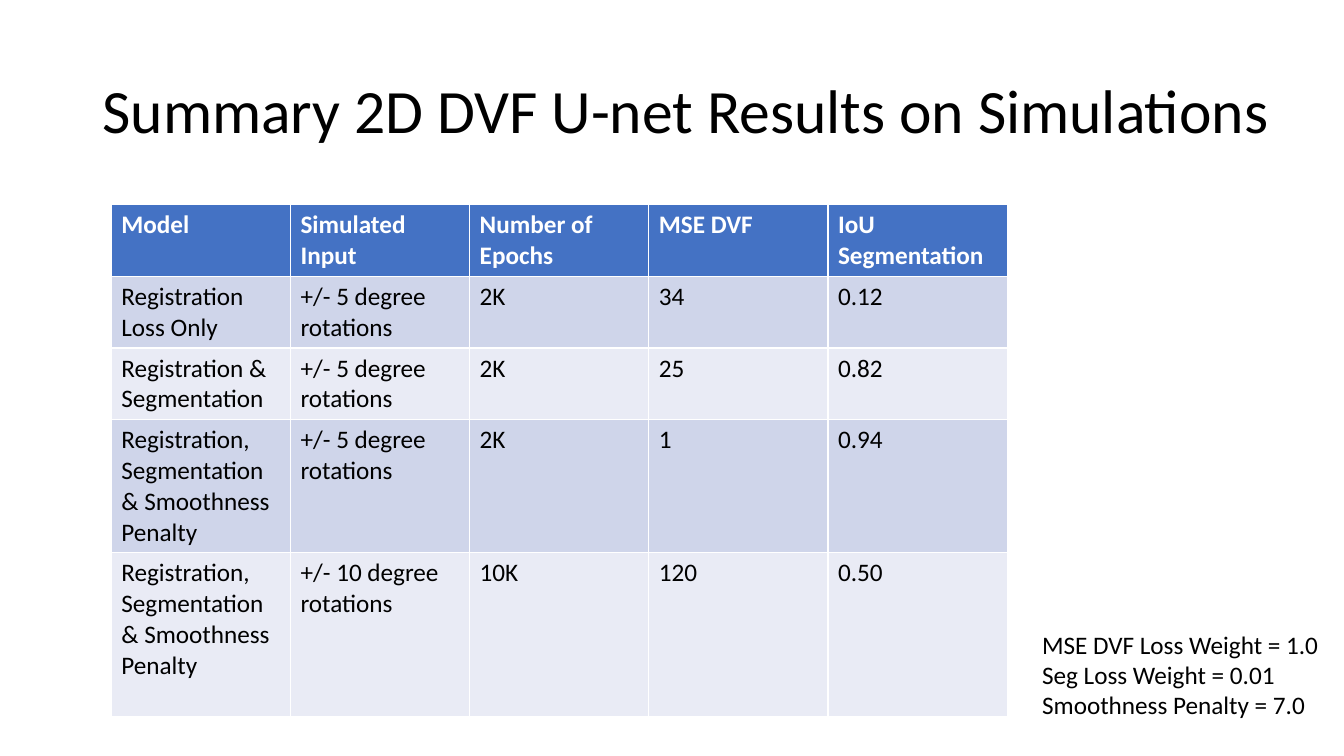
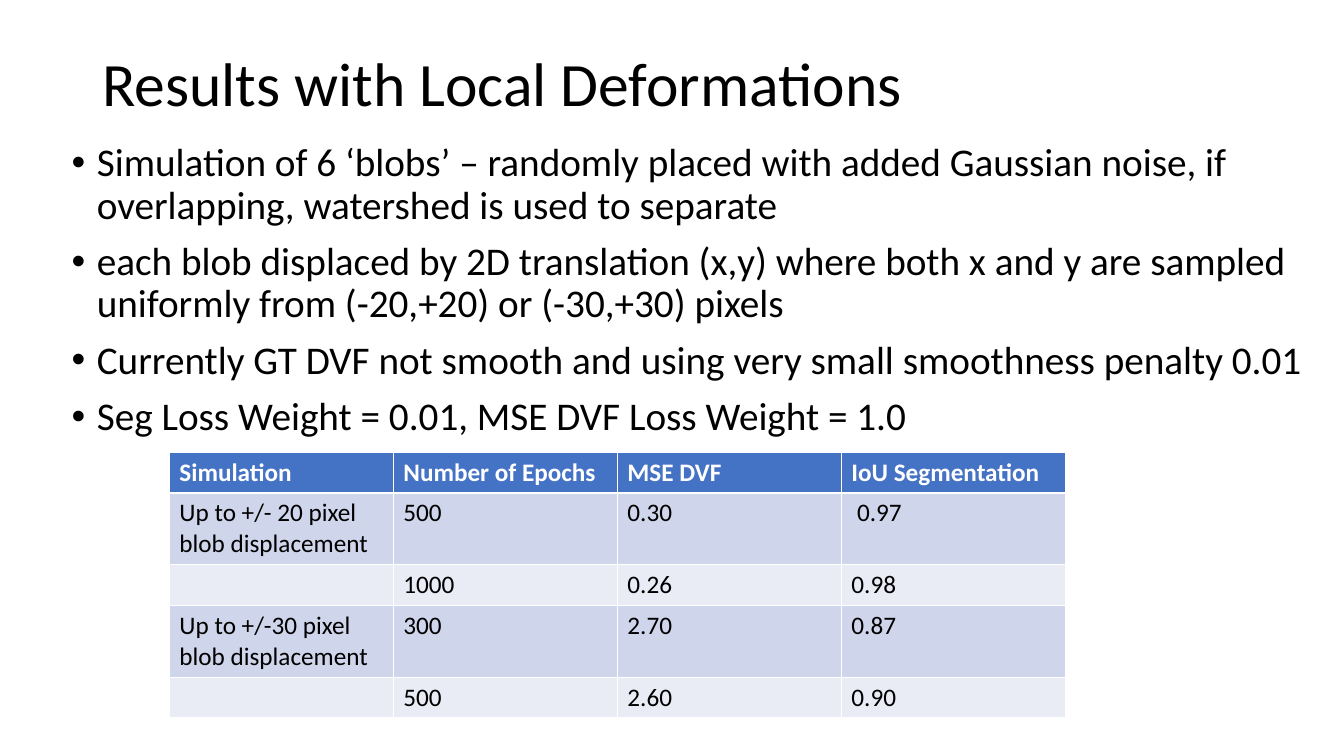
from pptx import Presentation
from pptx.dml.color import RGBColor
from pptx.enum.text import MSO_ANCHOR, MSO_AUTO_SIZE, PP_ALIGN
from pptx.util import Pt

FONT = "Calibri"
BLACK = RGBColor(0x00, 0x00, 0x00)
WHITE = RGBColor(0xFF, 0xFF, 0xFF)
HEADER_BLUE = RGBColor(0x44, 0x72, 0xC4)
BANDS = (RGBColor(0xCF, 0xD5, 0xEA), RGBColor(0xE9, 0xEB, 0xF5))

TITLE_ONLY, TITLE_AND_BODY = 5, 1
TABLE_WIDTH = 640
ROW_HEIGHTS = {1: 29.2, 2: 51.2, 4: 95}  # by number of text lines

MODEL_ROWS = [
    ("Model", "Simulated Input", "Number of Epochs", "MSE DVF", "IoU Segmentation"),
    ("Registration Loss Only", "+/- 5 degree rotations", "2K", "34", "0.12"),
    ("Registration & Segmentation", "+/- 5 degree rotations", "2K", "25", "0.82"),
    ("Registration, Segmentation & Smoothness Penalty", "+/- 5 degree rotations",
     "2K", "1", "0.94"),
    ("Registration, Segmentation & Smoothness Penalty", "+/- 10 degree rotations",
     "10K", "120", "0.50"),
]
LOSS_WEIGHTS = [
    "MSE DVF Loss Weight = 1.0",
    "Seg Loss Weight = 0.01",
    "Smoothness Penalty = 7.0",
]
DEFORMATION_POINTS = [
    "Simulation of 6 ‘blobs’ – randomly placed with added Gaussian noise, "
    "if overlapping, watershed is used to separate",
    "each blob displaced by 2D translation (x,y) where both x and y are sampled "
    "uniformly from (-20,+20) or (-30,+30) pixels",
    "Currently GT DVF not smooth and using very small smoothness penalty 0.01",
    "Seg Loss Weight = 0.01, MSE DVF Loss Weight = 1.0",
]
DEFORMATION_ROWS = [
    ("Simulation", "Number of Epochs", "MSE DVF", "IoU Segmentation"),
    ("Up to +/- 20 pixel blob displacement", "500", "0.30", " 0.97"),
    ("", "1000", "0.26", "0.98"),
    ("Up to +/-30 pixel blob displacement", "300", "2.70", "0.87"),
    ("", "500", "2.60", "0.90"),
]


def set_font(p, size, color=BLACK, bold=False):
    p.font.name = FONT
    p.font.size = Pt(size)
    p.font.bold = bold
    p.font.color.rgb = color


def place(sp, left, top, width, height):
    sp.left, sp.top, sp.width, sp.height = map(Pt, (left, top, width, height))


def fill_text(tf, lines, size):
    """Write one paragraph per line and return the paragraphs."""
    tf.word_wrap = True
    tf.auto_size = MSO_AUTO_SIZE.NONE
    tf.text = "\n".join(lines)
    for p in tf.paragraphs:
        p.alignment = PP_ALIGN.LEFT
        set_font(p, size)
    return tf.paragraphs


def add_titled_slide(prs, layout, title, top, width):
    s = prs.slides.add_slide(prs.slide_layouts[layout])
    sp = s.shapes.title
    place(sp, 66, top, width, 104.4)
    sp.text_frame.vertical_anchor = MSO_ANCHOR.MIDDLE
    fill_text(sp.text_frame, [title], 44)[0].line_spacing = 0.9
    return s


def fill_bullets(sp, lines):
    sp.text_frame.vertical_anchor = MSO_ANCHOR.TOP
    for p in fill_text(sp.text_frame, lines, 28):
        p.line_spacing = 0.9
        p.space_before = Pt(10)
        pPr = p._p.get_or_add_pPr()
        pPr.set("marL", str(Pt(18)))
        pPr.set("indent", str(Pt(-18)))


def add_banded_table(s, rows, left, top, heights):
    columns = len(rows[0])
    table = s.shapes.add_table(len(rows), columns, Pt(left), Pt(top),
                               Pt(TABLE_WIDTH), Pt(sum(heights))).table
    for column in table.columns:
        column.width = Pt(TABLE_WIDTH / columns)
    for i, (values, height) in enumerate(zip(rows, heights)):
        table.rows[i].height = Pt(height)
        header = i == 0
        for cell, value in zip(table.rows[i].cells, values):
            cell.text = value
            cell.fill.solid()
            cell.fill.fore_color.rgb = HEADER_BLUE if header else BANDS[(i - 1) % 2]
            set_font(cell.text_frame.paragraphs[0], 18,
                     WHITE if header else BLACK, header)


def add_note(s, lines, left, top, width, height):
    sp = s.shapes.add_textbox(Pt(left), Pt(top), Pt(width), Pt(height))
    fill_text(sp.text_frame, lines, 18)


def build_simulation_summary(prs):
    s = add_titled_slide(prs, TITLE_ONLY,
                         "Summary 2D DVF U-net Results on Simulations", 28.8, 855)
    heights = [ROW_HEIGHTS[n] for n in (2, 2, 2, 4)] + [117]
    add_banded_table(s, MODEL_ROWS, 79.5, 146.2, heights)
    add_note(s, LOSS_WEIGHTS, 737.3, 445.7, 213, 72.7)


def build_local_deformations(prs):
    s = add_titled_slide(prs, TITLE_AND_BODY,
                         "Results with Local Deformations", 9.4, 828)
    body = s.placeholders[1]
    place(body, 44, 98.6, 916, 342.7)
    fill_bullets(body, DEFORMATION_POINTS)
    heights = [ROW_HEIGHTS[n] for n in (1, 2, 1, 2, 1)]
    add_banded_table(s, DEFORMATION_ROWS, 121, 322.9, heights)


def main():
    prs = Presentation()
    prs.slide_width, prs.slide_height = Pt(960), Pt(540)
    build_simulation_summary(prs)
    build_local_deformations(prs)
    prs.save("out.pptx")


if __name__ == "__main__":
    main()
